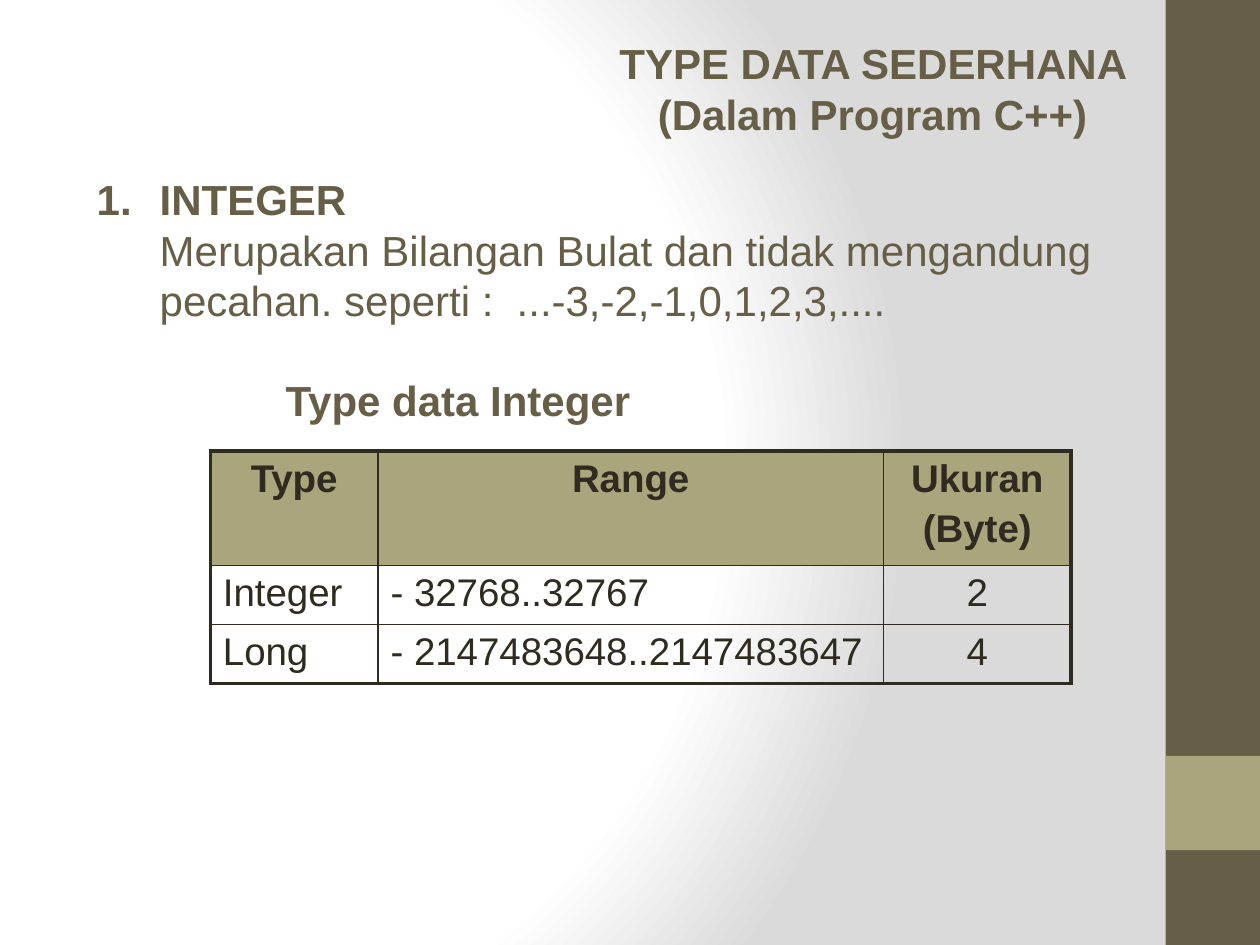
from dataclasses import dataclass
from lxml.etree import SubElement
from pptx import Presentation
from pptx.dml.color import RGBColor
from pptx.enum.shapes import MSO_SHAPE
from pptx.enum.text import PP_ALIGN
from pptx.oxml import parse_xml
from pptx.oxml.ns import nsdecls, qn
from pptx.util import Cm, Pt


@dataclass(frozen=True)
class Theme:
    font: str = "Arial"
    brown: str = "675E47"
    olive: str = "A9A57C"
    ink: str = "2F2B20"
    white: str = "FFFFFF"
    gray: str = "DADADA"
    head: int = 24
    cell: int = 22
    thick: float = 2.25
    thin: float = 1


theme = Theme()


def style(para, size, color, bold=False, align=PP_ALIGN.LEFT):
    para.alignment = align
    for run in para.runs:
        font = run.font
        font.name, font.size, font.bold = theme.font, Pt(size), bold
        font.color.rgb = RGBColor.from_string(color)


def paint(slide):
    # Radial backdrop, white fading to gray on the right
    fill = slide.background.fill
    fill.gradient()
    grad = slide.background._cSld.find(".//" + qn("a:gradFill"))
    for part in list(grad):
        grad.remove(part)
    stops = SubElement(grad, qn("a:gsLst"))
    for pos, color in ((0, theme.white), (75, theme.white), (100, theme.gray)):
        stop = SubElement(stops, qn("a:gs"), pos=str(pos * 1000))
        SubElement(stop, qn("a:srgbClr"), val=color)
    shade = SubElement(grad, qn("a:path"), path="circle")
    SubElement(shade, qn("a:fillToRect"), l="20000", t="50000", r="100000", b="50000")


def side(slide, left, top, width, height):
    # Side band with a square accent at four fifths of its height
    parts = ((top, height, theme.brown),
             (top + int(height * 0.8), width, theme.olive))
    for y, tall, color in parts:
        bar = slide.shapes.add_shape(MSO_SHAPE.RECTANGLE, left, y, width, tall)
        bar.shadow.inherit = False
        bar.fill.solid()
        bar.fill.fore_color.rgb = RGBColor.from_string(color)
        bar.line.fill.background()


def words(slide, lines, left, top, width, height):
    frame = slide.shapes.add_textbox(left, top, width, height).text_frame
    frame.word_wrap = True
    frame.text = "\n".join(lines)
    return frame.paragraphs


def title(slide, *box):
    lines = ("TYPE DATA SEDERHANA ", "(Dalam Program C++) ")
    for para in words(slide, lines, *box):
        style(para, theme.head, theme.brown, True, PP_ALIGN.CENTER)


def body(slide, *box):
    # Text, left margin, first-line indent, bold
    items = (
        ("1.\tINTEGER", 1.27, -1.27, True),
        ("Merupakan Bilangan Bulat dan tidak mengandung pecahan. "
         "seperti :  ...-3,-2,-1,0,1,2,3,.... ", 1.27, 0, False),
        ("Type data Integer", 3.81, 0, True),
    )
    paras = words(slide, [item[0] for item in items], *box)
    for para, (_, margin, indent, bold) in zip(paras, items):
        style(para, theme.head, theme.brown, bold)
        props = para._p.get_or_add_pPr()
        props.set("marL", str(Cm(margin)))
        props.set("indent", str(Cm(indent)))
    paras[-1].space_before = Pt(28)


def border(cell, edges):
    props = cell._tc.get_or_add_tcPr()
    for spot, (side, outer) in enumerate(edges):
        width = Pt(theme.thick if outer else theme.thin)
        props.insert(spot, parse_xml(
            f'<a:ln{side} {nsdecls("a")} w="{width}"><a:solidFill>'
            f'<a:srgbClr val="{theme.ink}"/></a:solidFill></a:ln{side}>'))


def grid(slide, left, top):
    rows = (("Type", "Range", "Ukuran\n(Byte)"),
            ("Integer", "- 32768..32767", "2"),
            ("Long", "- 2147483648..2147483647", "4"))
    wide = [Cm(3.38), Cm(10.19), Cm(3.78)]
    tall = [Cm(2.31), Cm(1.19), Cm(1.19)]
    table = slide.shapes.add_table(
        len(tall), len(wide), left, top, sum(wide), sum(tall)).table
    table.first_row = table.horz_banding = False
    for col, width in zip(table.columns, wide):
        col.width = width
    for row, height in zip(table.rows, tall):
        row.height = height

    last = len(rows) - 1, len(wide) - 1
    for r, row in enumerate(rows):
        for c, text in enumerate(row):
            cell = table.cell(r, c)
            cell.text_frame.text = text
            head = r == 0
            mid = head or c == last[1]
            for spot, para in enumerate(cell.text_frame.paragraphs):
                style(para, theme.cell, theme.ink, head,
                      PP_ALIGN.CENTER if mid else PP_ALIGN.LEFT)
                if spot:
                    para.space_before = Pt(theme.cell * 0.2)
            if head:
                cell.fill.solid()
                cell.fill.fore_color.rgb = RGBColor.from_string(theme.olive)
            else:
                cell.fill.background()
            # Thick frame outside, thin rules inside
            border(cell, (("L", c == 0), ("R", c == last[1]),
                          ("T", head), ("B", r == last[0])))


deck = Presentation()
deck.slide_width, deck.slide_height = Cm(25.4), Cm(19.05)
page = deck.slides.add_slide(deck.slide_layouts[6])
paint(page)
side(page, Cm(23.5), Cm(0), Cm(1.9), Cm(19.05))
grid(page, Cm(4.24), Cm(9.09))
body(page, Cm(1.7), Cm(3.38), Cm(22.43), Cm(5.33))
title(page, Cm(10.8), Cm(0.64), Cm(13.82), Cm(2.29))
deck.save("out.pptx")
